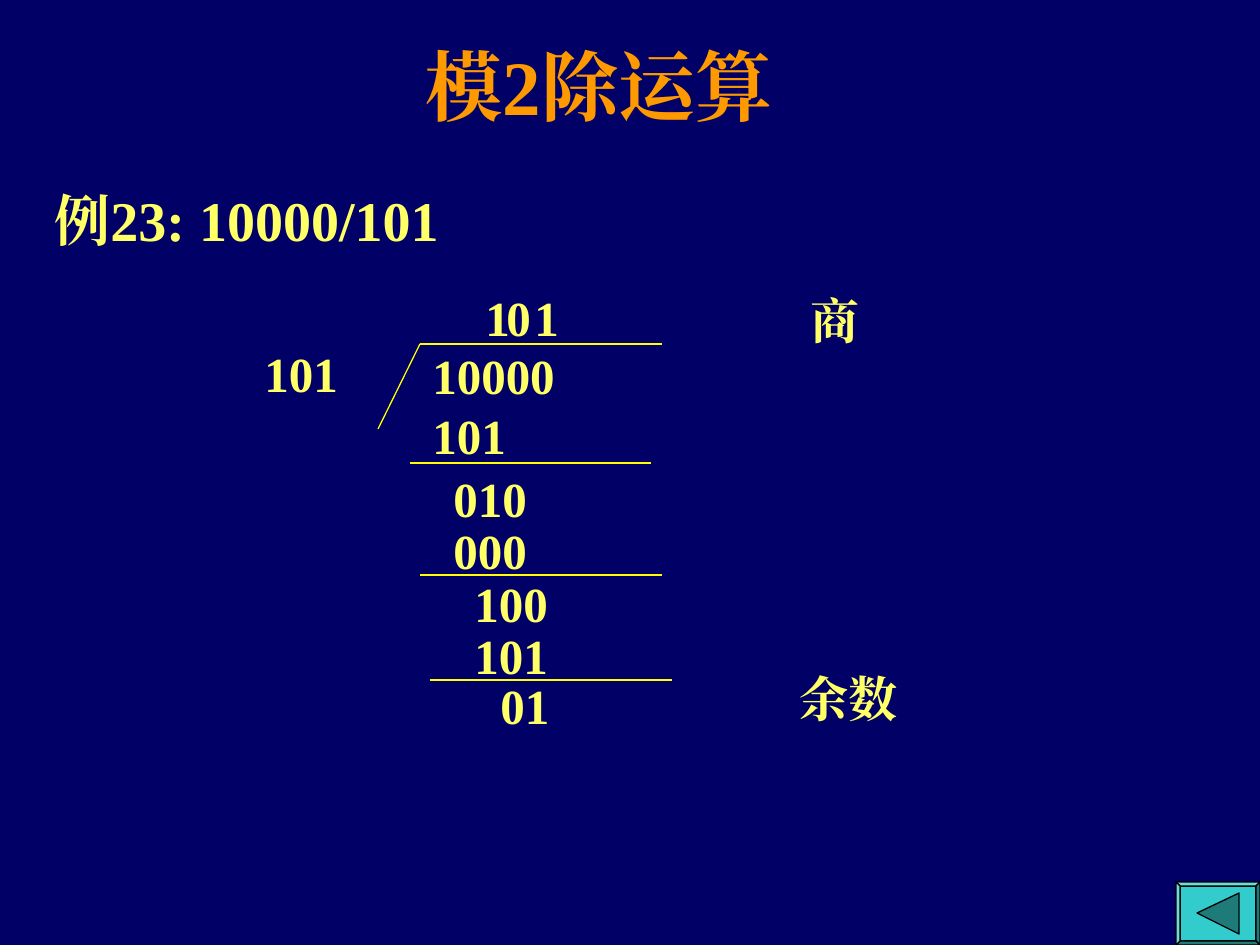
from dataclasses import dataclass

from lxml.etree import SubElement
from pptx import Presentation
from pptx.dml.color import RGBColor
from pptx.enum.shapes import MSO_CONNECTOR
from pptx.enum.text import MSO_ANCHOR, PP_ALIGN
from pptx.oxml.ns import qn
from pptx.util import Emu, Pt

PX = 914400 / 126


@dataclass(frozen=True)
class Theme:
    font: str = "Times New Roman"
    background: str = "000066"
    title: str = "FF9900"
    text: str = "FFFF66"
    rule: str = "FFFF00"
    outline: str = "000000"
    button: str = "33CCCC"
    button_light: str = "70DBDB"
    button_dark: str = "1F7A7A"
    title_size: int = 44
    example_size: int = 32
    digit_size: int = 28
    line_width: float = 0.75


theme = Theme()


def px(*values):
    return [Emu(round(value * PX)) for value in values]


def write(box, text, size, color, align=PP_ALIGN.LEFT):
    box.text_frame.word_wrap = True
    para = box.text_frame.paragraphs[0]
    para.alignment = align
    para.space_before = Pt(0)
    span = para.add_run()
    span.text = text
    span.font.name = theme.font
    span.font.size = Pt(size)
    span.font.bold = True
    span.font.color.rgb = RGBColor.from_string(color)
    east_asian = SubElement(span.font._element, qn("a:ea"))
    east_asian.set("typeface", theme.font)


deck = Presentation()
deck.slide_width, deck.slide_height = px(1260, 945)
page = deck.slides.add_slide(deck.slide_layouts[5])
page.background.fill.solid()
page.background.fill.fore_color.rgb = RGBColor.from_string(theme.background)

# Title
title = page.shapes.title
title.left, title.top, title.width, title.height = px(32, 32, 1134, 105)
title.text_frame.vertical_anchor = MSO_ANCHOR.MIDDLE
write(title, "模2除运算", theme.title_size, theme.title, PP_ALIGN.CENTER)

# Example heading
example = page.shapes.add_textbox(*px(42, 179, 1218, 84))
write(example, "例23: 10000/101", theme.example_size, theme.text)

# Long division: quotient digits, divisor, dividend, steps and labels
division = [
    ("1", 473, 281, 53), ("0", 494, 281, 53), ("1", 522, 281, 53),
    ("101", 252, 337, 136), ("10000", 420, 339, 158),
    ("101", 420, 399, 158),
    ("010", 441, 462, 158), ("000", 441, 514, 158),
    ("100", 462, 567, 158), ("101", 462, 619, 158),
    ("01", 488, 669, 189),
    ("商", 798, 284, 189), ("余数", 787, 662, 189),
]
for text, left, top, width in division:
    box = page.shapes.add_textbox(*px(left, top, width, 72))
    write(box, text, theme.digit_size, theme.text)

# Division bracket and subtraction rules
rules = [
    (420, 344, 662, 344), (420, 344, 378, 429),
    (410, 463, 651, 463), (420, 575, 662, 575), (430, 680, 672, 680),
]
for ends in rules:
    rule = page.shapes.add_connector(MSO_CONNECTOR.STRAIGHT, *px(*ends))
    rule.line.color.rgb = RGBColor.from_string(theme.rule)
    rule.line.width = Pt(theme.line_width)
    SubElement(rule._element.spPr, qn("a:effectLst"))

# Back button: face, four bevelled edges and arrow
outer = [(1176, 882), (1260, 882), (1260, 945), (1176, 945)]
inner = [(1180, 886), (1256, 886), (1256, 941), (1180, 941)]
edge_colors = [theme.button_light, theme.button_dark,
               theme.button_dark, theme.button_light]
faces = [(inner, theme.button)]
for side, color in enumerate(edge_colors):
    following = (side + 1) % 4
    edge = [outer[side], outer[following], inner[following], inner[side]]
    faces.append((edge, color))
faces.append(([(1197, 913), (1239, 893), (1239, 934)], theme.button_dark))
for points, color in faces:
    builder = page.shapes.build_freeform(*points[0], scale=PX)
    builder.add_line_segments(points[1:], close=True)
    face = builder.convert_to_shape()
    face.shadow.inherit = False
    face.fill.solid()
    face.fill.fore_color.rgb = RGBColor.from_string(color)
    face.line.color.rgb = RGBColor.from_string(theme.outline)
    face.line.width = Pt(theme.line_width)

deck.save("out.pptx")
